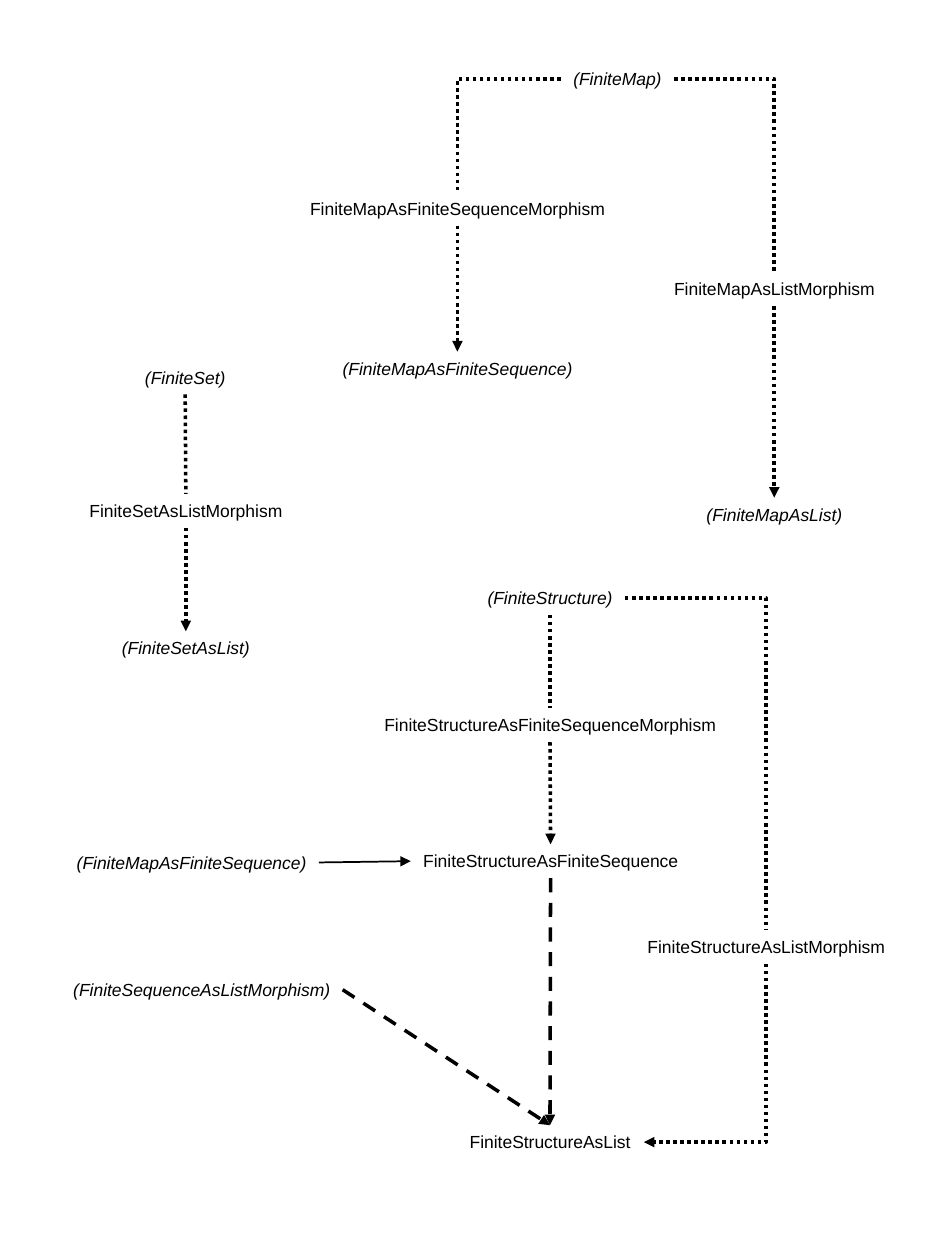
import pptx
import pptx.dml.color
import pptx.enum.dml
import pptx.enum.shapes
import pptx.enum.text
import pptx.oxml.ns
import pptx.util

PX = 9144  # EMU per px, 100 px to the inch
COLORS = {"ink": "000000", "paper": "FFFFFF"}
LABEL_HEIGHT = 27
TOP, LEFT, BOTTOM, RIGHT = range(4)  # connection sites of a label
DASH = pptx.enum.dml.MSO_LINE
CONNECTOR = pptx.enum.shapes.MSO_CONNECTOR
qn = pptx.oxml.ns.qn


def color(name):
    return pptx.dml.color.RGBColor.from_string(COLORS[name])


class Diagram:
    """Holds the style and the current slide."""

    font = {"name": "Arial", "size": pptx.util.Pt(10)}
    frame = {
        "margin_left": 10 * PX, "margin_right": 10 * PX,
        "margin_top": 5 * PX, "margin_bottom": 5 * PX,
        "word_wrap": False,
        "auto_size": pptx.enum.text.MSO_AUTO_SIZE.SHAPE_TO_FIT_TEXT,
    }

    def __init__(self, slide):
        self.slide = slide
        slide.background.fill.solid()
        slide.background.fill.fore_color.rgb = color("paper")

    def label(self, text, left, top, width):
        """A centred name; names in parentheses are italic."""
        shape = self.slide.shapes.add_textbox(
            left * PX, top * PX, width * PX, LABEL_HEIGHT * PX)
        for name, value in self.frame.items():
            setattr(shape.text_frame, name, value)
        paragraph = shape.text_frame.paragraphs[0]
        paragraph.alignment = pptx.enum.text.PP_ALIGN.CENTER
        run = paragraph.add_run()
        run.text = text
        for name, value in self.font.items():
            setattr(run.font, name, value)
        run.font.italic = text.startswith("(")
        run.font.color.rgb = color("ink")
        return shape

    @staticmethod
    def site(shape, side):
        """The middle of one side of a label."""
        middle_x = shape.left + shape.width // 2
        middle_y = shape.top + shape.height // 2
        return {
            TOP: (middle_x, shape.top),
            LEFT: (shape.left, middle_y),
            BOTTOM: (middle_x, shape.top + shape.height),
            RIGHT: (shape.left + shape.width, middle_y),
        }[side]

    def link(self, source, target, sides=(BOTTOM, TOP), arrow=True,
             dash=DASH.ROUND_DOT, width=2, bent=False):
        """A line glued to two labels, straight or with one bend."""
        kind = CONNECTOR.ELBOW if bent else CONNECTOR.STRAIGHT
        begin, end = self.site(source, sides[0]), self.site(target, sides[1])
        connector = self.slide.shapes.add_connector(kind, *begin, *end)
        connector.begin_connect(source, sides[0])
        connector.end_connect(target, sides[1])
        properties = connector._element.spPr
        if bent:
            properties.find(qn("a:prstGeom")).set("prst", "bentConnector2")
            if sides[0] == BOTTOM:
                self.turn(connector, begin, end)
        connector.line.color.rgb = color("ink")
        connector.line.width = pptx.util.Pt(width)
        connector.line.dash_style = dash
        if arrow:
            line = properties.find(qn("a:ln"))
            line.append(line.makeelement(qn("a:tailEnd"), {"type": "triangle"}))
        properties.append(properties.makeelement(qn("a:effectLst"), {}))

    @staticmethod
    def turn(connector, begin, end):
        """Rotate a quarter so that the line runs down first, then left."""
        width, height = abs(end[1] - begin[1]), abs(end[0] - begin[0])
        transform = connector._element.spPr.find(qn("a:xfrm"))
        for flip in ("flipH", "flipV"):
            transform.attrib.pop(flip, None)
        transform.set("rot", str(90 * 60000))
        connector.left = (begin[0] + end[0] - width) // 2
        connector.top = (begin[1] + end[1] - height) // 2
        connector.width, connector.height = width, height


def main():
    presentation = pptx.Presentation()
    presentation.slide_width = 750 * PX
    presentation.slide_height = 1000 * PX
    slide = presentation.slides.add_slide(presentation.slide_layouts[6])
    diagram = Diagram(slide)
    label, link = diagram.label, diagram.link

    # Finite set
    finite_set = label("(FiniteSet)", 105, 286, 84)
    set_morphism = label("FiniteSetAsListMorphism", 61, 392, 173)
    set_list = label("(FiniteSetAsList)", 86, 501, 123)
    link(finite_set, set_morphism, arrow=False)
    link(set_morphism, set_list)

    # Finite map
    finite_map = label("(FiniteMap)", 445, 49, 90)
    map_list_morphism = label("FiniteMapAsListMorphism", 525, 216, 179)
    map_list = label("(FiniteMapAsList)", 550, 395, 129)
    map_sequence_morphism = label(
        "FiniteMapAsFiniteSequenceMorphism", 236, 152, 254)
    map_sequence = label("(FiniteMapAsFiniteSequence)", 262, 279, 202)
    for side, morphism, result in (
            (RIGHT, map_list_morphism, map_list),
            (LEFT, map_sequence_morphism, map_sequence)):
        link(finite_map, morphism, (side, TOP), arrow=False, bent=True)
        link(morphism, result)

    # Finite structure
    structure = label("(FiniteStructure)", 377, 461, 119)
    structure_morphism = label(
        "FiniteStructureAsFiniteSequenceMorphism", 295, 562, 283)
    structure_sequence = label("FiniteStructureAsFiniteSequence", 326, 670, 222)
    structure_list_morphism = label(
        "FiniteStructureAsListMorphism", 504, 738, 208)
    structure_list = label("FiniteStructureAsList", 362, 893, 149)
    link(structure, structure_morphism, arrow=False)
    link(structure_morphism, structure_sequence)
    link(structure, structure_list_morphism, (RIGHT, TOP), arrow=False, bent=True)
    link(structure_list_morphism, structure_list, (BOTTOM, RIGHT), bent=True)

    # Inherited parts
    inherited_sequence = label("(FiniteMapAsFiniteSequence)", 51, 671, 202)
    sequence_morphism = label("(FiniteSequenceAsListMorphism)", 48, 772, 224)
    link(inherited_sequence, structure_sequence, (RIGHT, LEFT),
         dash=DASH.SOLID, width=1)
    link(sequence_morphism, structure_list, (RIGHT, TOP), dash=DASH.DASH)
    link(structure_sequence, structure_list, dash=DASH.DASH)

    presentation.save("out.pptx")


if __name__ == "__main__":
    main()
